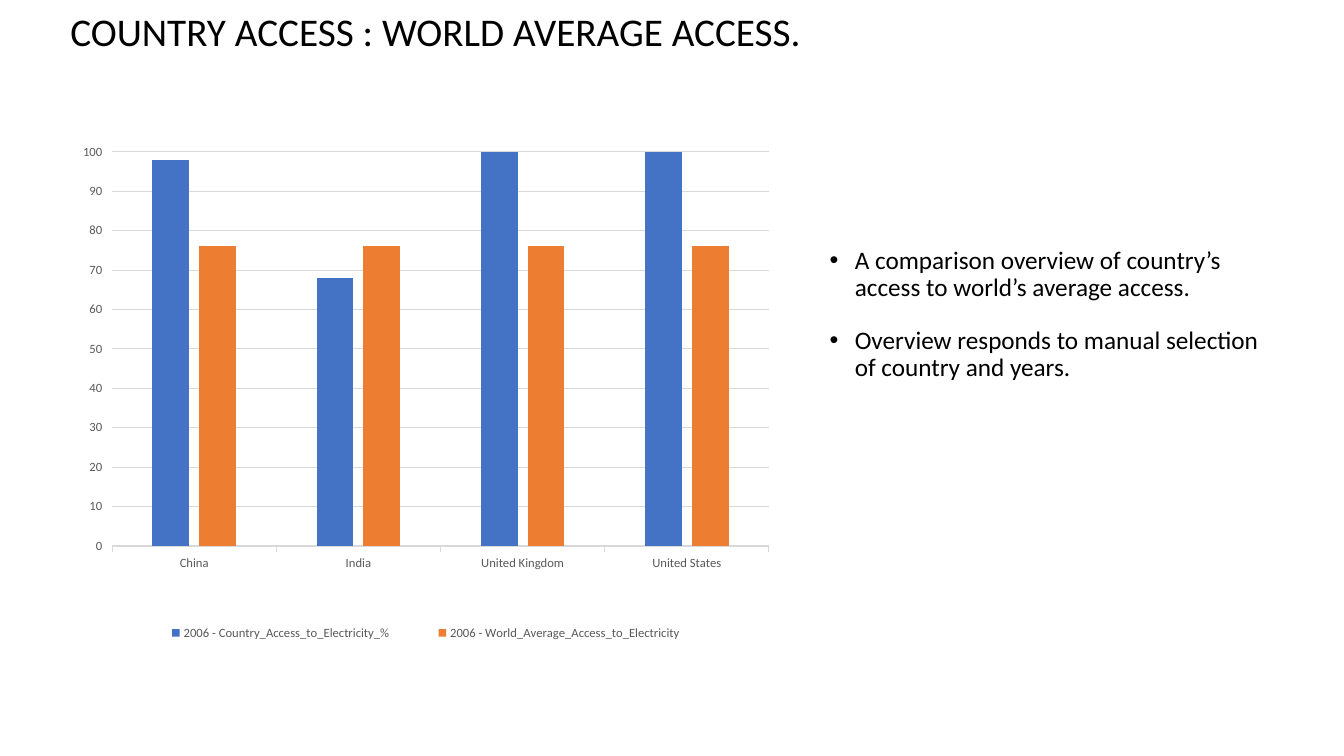
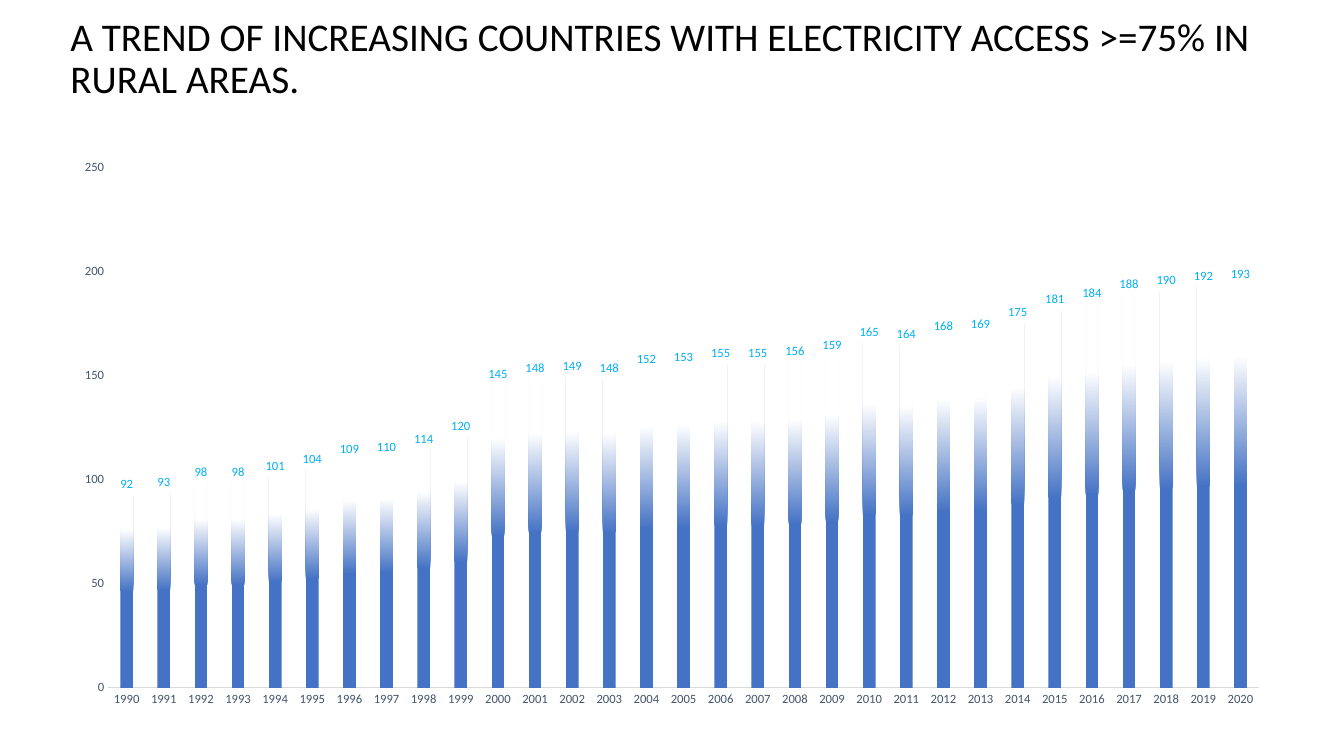
from lxml import etree
from pptx import Presentation
from pptx.chart.data import CategoryChartData as ChartData
from pptx.dml.color import RGBColor as RGB
from pptx.enum.chart import XL_CHART_TYPE as Kind
from pptx.enum.chart import XL_LABEL_POSITION as LabelPos
from pptx.enum.chart import XL_LEGEND_POSITION as LegendPos
from pptx.enum.chart import XL_TICK_MARK as Tick
from pptx.enum.text import MSO_ANCHOR as Anchor
from pptx.oxml import parse_xml
from pptx.oxml.ns import qn
from pptx.util import Inches, Pt

# Shared style
FONT = "Calibri"
BLACK = RGB(0, 0, 0)
GREY = RGB(0x59, 0x59, 0x59)
RULE = RGB(0xD9, 0xD9, 0xD9)
SLATE = RGB(0x44, 0x54, 0x6A)
BLUE = RGB(0x44, 0x72, 0xC4)
ORANGE = RGB(0xED, 0x7D, 0x31)
CYAN = RGB(0x00, 0xB0, 0xF0)
WHITE = RGB(0xFF, 0xFF, 0xFF)

# Page frame, in inches
WIDE, HIGH = 13.33, 7.5
LEFT, TOP = 0.6, 0.05
SPAN = WIDE - 2 * LEFT

A_NS = "http://schemas.openxmlformats.org/drawingml/2006/main"

# Chart data
LANDS = ["China", "India", "United Kingdom", "United States"]
ACCESS = [
    ("2006 - Country_Access_to_Electricity_%", [98, 68, 100, 100], BLUE),
    ("2006 - World_Average_Access_to_Electricity", [76] * 4, ORANGE),
]
YEARS = [str(year) for year in range(1990, 2021)]
COUNTS = [92, 93, 98, 98, 101, 104, 109, 110, 114, 120,
          145, 148, 149, 148, 152, 153, 155, 155, 156, 159,
          165, 164, 168, 169, 175, 181, 184, 188, 190, 192, 193]
NOTES = [
    "A comparison overview of country’s access to world’s average access.",
    "Overview responds to manual selection of country and years.",
]


def style(font, size, color):
    font.name = FONT
    font.size = Pt(size)
    font.color.rgb = color


def add_text(slide, box, lines, size, anchor=Anchor.TOP):
    frame = slide.shapes.add_textbox(*map(Inches, box)).text_frame
    frame.word_wrap = True
    frame.vertical_anchor = anchor
    frame.text = "\n".join(lines)
    for para in frame.paragraphs:
        para.line_spacing = 0.9
        style(para.runs[0].font, size, BLACK)
    return frame


def add_title(slide, text, high):
    add_text(slide, (LEFT, TOP, SPAN, high), [text], 28, Anchor.BOTTOM)


def add_list(slide, box, lines):
    frame = add_text(slide, box, lines, 18)
    for i, para in enumerate(frame.paragraphs):
        para.space_before = Pt(18 if i else 0)
        props = para._p.get_or_add_pPr()
        props.set("marL", str(Inches(0.3)))
        props.set("indent", str(-Inches(0.25)))
        etree.SubElement(props, qn("a:buFont")).set("typeface", "Arial")
        etree.SubElement(props, qn("a:buChar")).set("char", "•")


def place(parent, index, x, y, w, h, inner=False):
    """Fix a chart part at shares of the chart's size."""
    for old in parent.findall(qn("c:layout")):
        parent.remove(old)
    layout = etree.Element(qn("c:layout"))
    manual = etree.SubElement(layout, qn("c:manualLayout"))
    parts = [("layoutTarget", "inner")] if inner else []
    parts += [("xMode", "edge"), ("yMode", "edge"),
              ("x", x), ("y", y), ("w", w), ("h", h)]
    for name, val in parts:
        etree.SubElement(manual, qn("c:" + name)).set("val", str(val))
    parent.insert(index, layout)


def add_bars(slide, box, cats, series, gap, lap, color, tick):
    data = ChartData()
    data.categories = cats
    for name, vals in series:
        data.add_series(name, vals)
    chart = slide.shapes.add_chart(
        Kind.COLUMN_CLUSTERED, *map(Inches, box), data).chart
    chart.has_title = False
    chart.has_legend = False
    style(chart.font, 10, BLACK)
    plot = chart.plots[0]
    plot.vary_by_categories = False
    plot.gap_width, plot.overlap = gap, lap
    for axis in (chart.category_axis, chart.value_axis):
        axis.has_major_gridlines = False
        axis.major_tick_mark = tick
        axis.minor_tick_mark = Tick.NONE
        style(axis.tick_labels.font, 9, color)
    rule(chart.category_axis.format.line)
    chart.value_axis.format.line.fill.background()
    return chart


def rule(line):
    line.color.rgb = RULE
    line.width = Pt(0.75)


def fade(series, stops, rect):
    """Fill a series with a round gradient."""
    stop = '<a:gs pos="{}"><a:srgbClr val="{}"/></a:gs>'
    marks = "".join(stop.format(at * 1000, color) for at, color in stops)
    sides = " ".join(f'{k}="{v * 1000}"' for k, v in zip("ltrb", rect))
    series.format.fill.background()
    props = series._element.spPr
    blank = props.find(qn("a:noFill"))
    props.replace(blank, parse_xml(
        f'<a:gradFill xmlns:a="{A_NS}"><a:gsLst>{marks}</a:gsLst>'
        f'<a:path path="circle"><a:fillToRect {sides}/></a:path>'
        '</a:gradFill>'))


def compare(slide):
    add_title(slide, "COUNTRY ACCESS : WORLD AVERAGE ACCESS.", 0.54)
    chart = add_bars(slide, (LEFT, 0.99, 7.32, 5.75), LANDS,
                     [row[:2] for row in ACCESS], 219, -27, GREY,
                     Tick.OUTSIDE)
    plot = chart.plots[0]
    for series, (_, _, color) in zip(plot.series, ACCESS):
        series.format.fill.solid()
        series.format.fill.fore_color.rgb = color
    # Scale and grid
    scale = chart.value_axis
    scale.minimum_scale, scale.maximum_scale = 0, 100
    scale.major_unit = 10
    scale.has_major_gridlines = True
    rule(scale.major_gridlines.format.line)
    place(plot._element.getparent(), 0, 0.07, 0.09, 0.89, 0.68, True)
    # Legend
    chart.has_legend = True
    legend = chart.legend
    legend.position = LegendPos.BOTTOM
    legend.include_in_layout = False
    style(legend.font, 9, GREY)
    place(legend._element, 1, 0.09, 0.89, 0.81, 0.06)
    # Remarks
    add_list(slide, (8.08, 2.41, 4.65, 2.44), NOTES)


def trend(slide):
    add_title(slide, "A TREND OF INCREASING COUNTRIES WITH ELECTRICITY "
              "ACCESS >=75% IN RURAL AREAS.", 1.01)
    chart = add_bars(slide, (LEFT, 1.47, SPAN, 5.65), YEARS,
                     [("Series 1", COUNTS)], 192, 0, SLATE, Tick.NONE)
    plot = chart.plots[0]
    fade(plot.series[0], [(0, WHITE), (35, WHITE), (100, BLUE)],
         (50, -80, 50, 180))
    # Values above the bars
    plot.has_data_labels = True
    labels = plot.data_labels
    labels.show_value = True
    labels.position = LabelPos.OUTSIDE_END
    style(labels.font, 9, CYAN)


def main():
    deck = Presentation()
    deck.slide_width, deck.slide_height = Inches(WIDE), Inches(HIGH)
    for build in (compare, trend):
        build(deck.slides.add_slide(deck.slide_layouts[6]))
    deck.save("out.pptx")


if __name__ == "__main__":
    main()
